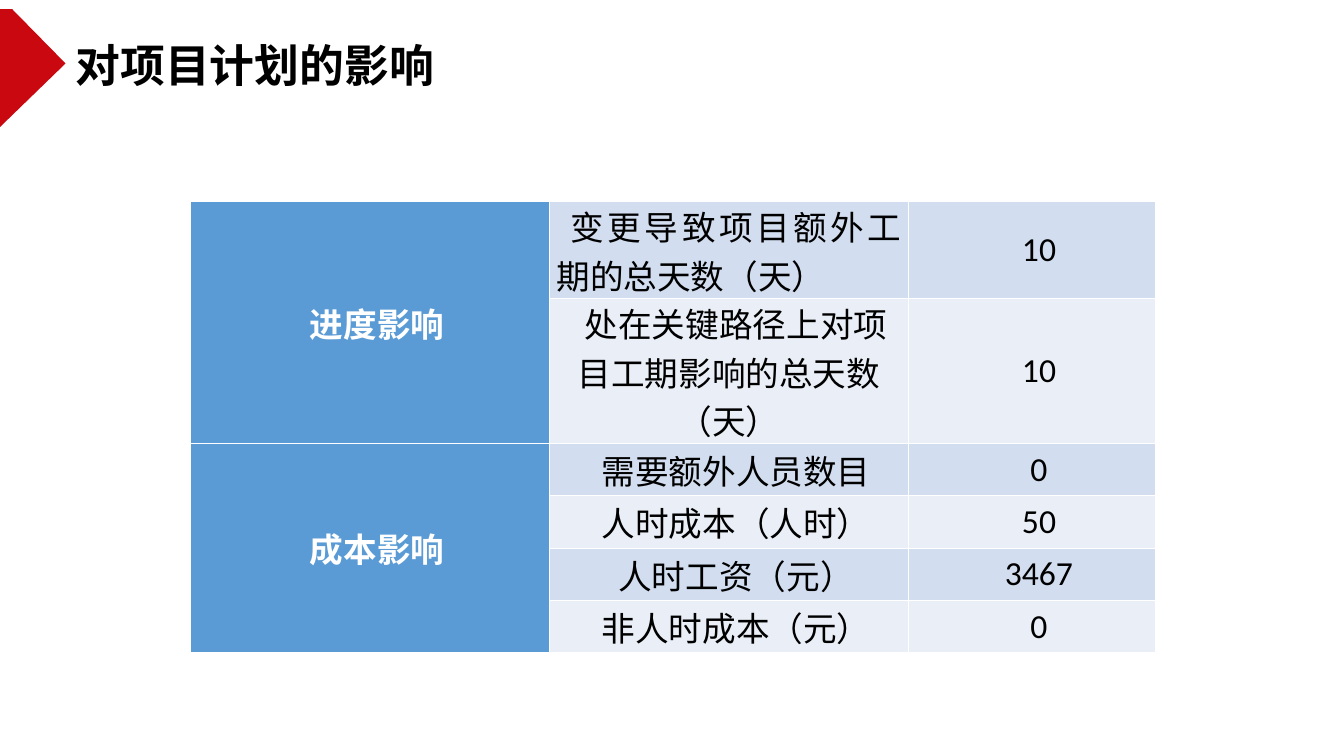
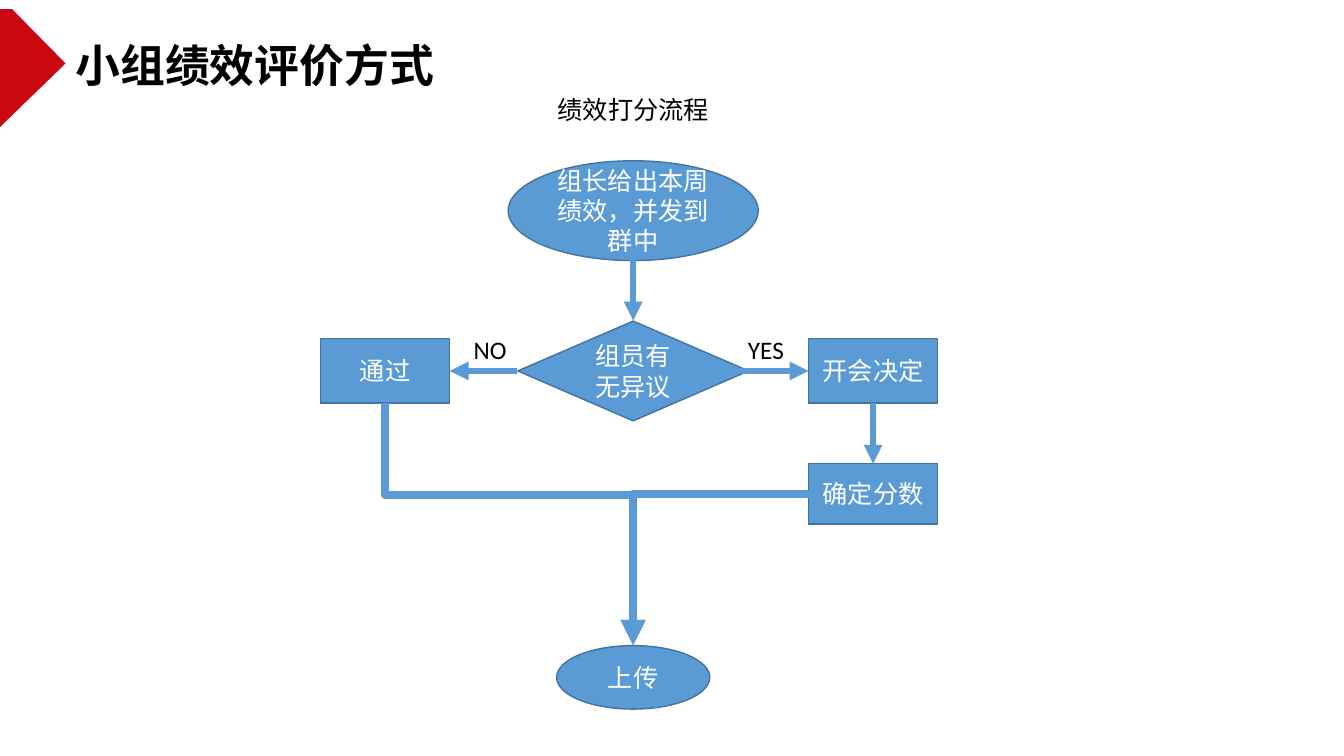
from lxml.etree import SubElement
from pptx import Presentation
from pptx.dml.color import RGBColor
from pptx.enum.shapes import MSO_CONNECTOR, MSO_SHAPE
from pptx.enum.text import MSO_ANCHOR, MSO_AUTO_SIZE, PP_ALIGN
from pptx.oxml.ns import qn
from pptx.util import Inches, Pt

RED = RGBColor(0xCA, 0x08, 0x10)
BLUE = RGBColor(0x5B, 0x9B, 0xD5)
DARK_BLUE = RGBColor(0x43, 0x73, 0x9E)
BAND_DARK = RGBColor(0xD2, 0xDE, 0xEF)
BAND_LIGHT = RGBColor(0xEA, 0xEF, 0xF7)
WHITE = RGBColor(0xFF, 0xFF, 0xFF)
BLACK = RGBColor(0, 0, 0)

LATIN_FONT = "Calibri"
CHINESE_FONT = "Noto Sans CJK SC"


class Deck:
    def __init__(self):
        self.presentation = Presentation()
        self.presentation.slide_width = Inches(13.33)
        self.presentation.slide_height = Inches(7.5)
        self.slide = None

    def new_slide(self, title):
        """Start a slide with the red marker and its title."""
        self.slide = self.presentation.slides.add_slide(self.presentation.slide_layouts[6])
        builder = self.slide.shapes.build_freeform(0, Inches(0.09), scale=1.0)
        corners = [(0, 1.26), (0.65, 0.63), (0.12, 0.09)]
        builder.add_line_segments([(Inches(x), Inches(y)) for x, y in corners])
        marker = builder.convert_to_shape()
        marker.shadow.inherit = False
        marker.fill.solid()
        marker.fill.fore_color.rgb = RED
        marker.line.fill.background()
        self.label(title, 0.65, 0.33, 5.8, 0.64, size=32, bold=True,
                   latin=CHINESE_FONT, chinese=CHINESE_FONT, wrap=True)

    def set_text(self, frame, text, size, color, align=PP_ALIGN.LEFT, bold=False,
                 latin=LATIN_FONT, chinese=LATIN_FONT):
        paragraph = frame.paragraphs[0]
        run = paragraph.add_run()
        run.text = text
        paragraph.alignment = align
        font = paragraph.font
        font.name, font.size, font.bold = latin, Pt(size), bold
        font.color.rgb = color
        SubElement(run.font._element, qn("a:ea"), typeface=chinese)
        return paragraph

    def label(self, text, left, top, width, height, size=18, wrap=False, **style):
        box = self.slide.shapes.add_textbox(
            Inches(left), Inches(top), Inches(width), Inches(height))
        frame = box.text_frame
        frame.word_wrap = wrap
        frame.auto_size = MSO_AUTO_SIZE.SHAPE_TO_FIT_TEXT
        self.set_text(frame, text, size, BLACK, **style)

    def node(self, preset, text, center_x, center_y, width, height):
        """Add a flowchart step around its centre."""
        step = self.slide.shapes.add_shape(
            preset, Inches(center_x - width / 2), Inches(center_y - height / 2),
            Inches(width), Inches(height))
        step.shadow.inherit = False
        step.fill.solid()
        step.fill.fore_color.rgb = BLUE
        step.line.color.rgb = DARK_BLUE
        step.line.width = Pt(1)
        step.text_frame.word_wrap = True
        step.text_frame.vertical_anchor = MSO_ANCHOR.MIDDLE
        self.set_text(step.text_frame, text, 18, WHITE, PP_ALIGN.CENTER)

    def arrow(self, start, end, weight=4.5, route=MSO_CONNECTOR.STRAIGHT):
        connector = self.slide.shapes.add_connector(
            route, *(Inches(value) for value in (*start, *end)))
        connector.line.color.rgb = BLUE
        connector.line.width = Pt(weight)
        properties = connector._element.spPr
        SubElement(properties.find(qn("a:ln")), qn("a:tailEnd"), type="triangle")
        SubElement(properties, qn("a:effectLst"))
        return properties

    def across_then_down(self, start, end):
        properties = self.arrow(start, end, 6, MSO_CONNECTOR.ELBOW)
        properties.find(qn("a:prstGeom")).set("prst", "bentConnector2")

    def down_across_down(self, start, end, bend):
        """Turn an elbow by 270 degrees; bend is the share of the drop before it turns."""
        middle_x, middle_y = (start[0] + end[0]) / 2, (start[1] + end[1]) / 2
        half_run, half_drop = (end[0] - start[0]) / 2, (end[1] - start[1]) / 2
        properties = self.arrow((middle_x + half_drop, middle_y - half_run),
                                (middle_x - half_drop, middle_y + half_run),
                                6, MSO_CONNECTOR.ELBOW)
        properties.find(qn("a:xfrm")).set("rot", str(270 * 60000))
        adjustments = properties.find(qn("a:prstGeom")).get_or_add_avLst()
        SubElement(adjustments, qn("a:gd"), name="adj1", fmla=f"val {round(bend * 100000)}")

    def table(self, left, top, widths, heights):
        table = self.slide.shapes.add_table(
            len(heights), len(widths), Inches(left), Inches(top),
            Inches(sum(widths)), Inches(sum(heights))).table
        table.first_row = table.horz_banding = False
        for column, width in zip(table.columns, widths):
            column.width = Inches(width)
        for row, height in zip(table.rows, heights):
            row.height = Inches(height)
        for cell in table.iter_cells():
            self.border(cell)
        return table

    def border(self, cell):
        properties = cell._tc.get_or_add_tcPr()
        for side in ("lnL", "lnR", "lnT", "lnB"):
            edge = SubElement(properties, qn(f"a:{side}"), w=str(Pt(1)))
            fill = SubElement(edge, qn("a:solidFill"))
            SubElement(fill, qn("a:srgbClr"), val=str(WHITE))

    def cell(self, cell, text, fill, color=BLACK, bold=False, align=PP_ALIGN.CENTER):
        cell.fill.solid()
        cell.fill.fore_color.rgb = fill
        cell.vertical_anchor = MSO_ANCHOR.MIDDLE
        cell.margin_left = cell.margin_right = Inches(0.07)
        cell.margin_top = cell.margin_bottom = 0
        paragraph = self.set_text(cell.text_frame, text, 24, color, align, bold,
                                  chinese=CHINESE_FONT)
        indent = paragraph._p.get_or_add_pPr()
        indent.set("marL", "0")
        indent.set("indent", str(Inches(0.14)))


def plan_impact(deck):
    deck.new_slide("对项目计划的影响")
    impacts = [
        ("变更导致项目额外工期的总天数（天）", "10"),
        ("处在关键路径上对项目工期影响的总天数（天）", "10"),
        ("需要额外人员数目", "0"),
        ("人时成本（人时）", "50"),
        ("人时工资（元）", "3467"),
        ("非人时成本（元）", "0"),
    ]
    table = deck.table(1.89, 2, [3.56, 3.56, 2.45], [0.96, 1.44] + [0.52] * 4)
    for first, last, group in [(0, 1, "进度影响"), (2, 5, "成本影响")]:
        table.cell(first, 0).merge(table.cell(last, 0))
        deck.cell(table.cell(first, 0), group, BLUE, WHITE, bold=True)
    for row, (item, amount) in enumerate(impacts):
        band = BAND_LIGHT if row % 2 else BAND_DARK
        align = PP_ALIGN.CENTER if row else PP_ALIGN.JUSTIFY
        deck.cell(table.cell(row, 1), item, band, align=align)
        deck.cell(table.cell(row, 2), amount, band)


def scoring_flow(deck):
    deck.new_slide("小组绩效评价方式")
    deck.label("绩效打分流程", 5.42, 0.89, 1.72, 0.4, align=PP_ALIGN.CENTER)
    left, middle, right = 3.82, 6.28, 8.66
    decision_y, score_y, upload_top = 3.68, 4.9, 6.4

    deck.node(MSO_SHAPE.OVAL, "组长给出本周绩效，并发到群中", middle, 2.09, 2.48, 0.99)
    deck.node(MSO_SHAPE.DIAMOND, "组员有无异议", middle, decision_y, 2.29, 0.99)
    deck.node(MSO_SHAPE.RECTANGLE, "通过", left, decision_y, 1.28, 0.64)
    deck.node(MSO_SHAPE.RECTANGLE, "开会决定", right, decision_y, 1.28, 0.64)
    deck.node(MSO_SHAPE.RECTANGLE, "确定分数", right, score_y, 1.28, 0.6)
    deck.node(MSO_SHAPE.OVAL, "上传", middle, upload_top + 0.32, 1.52, 0.63)
    deck.label("NO", 4.6, 3.27, 0.53, 0.4)
    deck.label("YES", 7.32, 3.27, 0.56, 0.4)

    deck.arrow((middle, 2.58), (middle, 3.18))
    deck.arrow((5.13, decision_y), (4.46, decision_y))
    deck.arrow((7.35, decision_y), (8.02, decision_y))
    deck.arrow((right, 4), (right, 4.6))
    deck.down_across_down((left, 4), (middle, upload_top), bend=0.38)
    deck.across_then_down((8.02, score_y), (middle, upload_top))


def main():
    deck = Deck()
    plan_impact(deck)
    scoring_flow(deck)
    deck.presentation.save("out.pptx")


if __name__ == "__main__":
    main()
